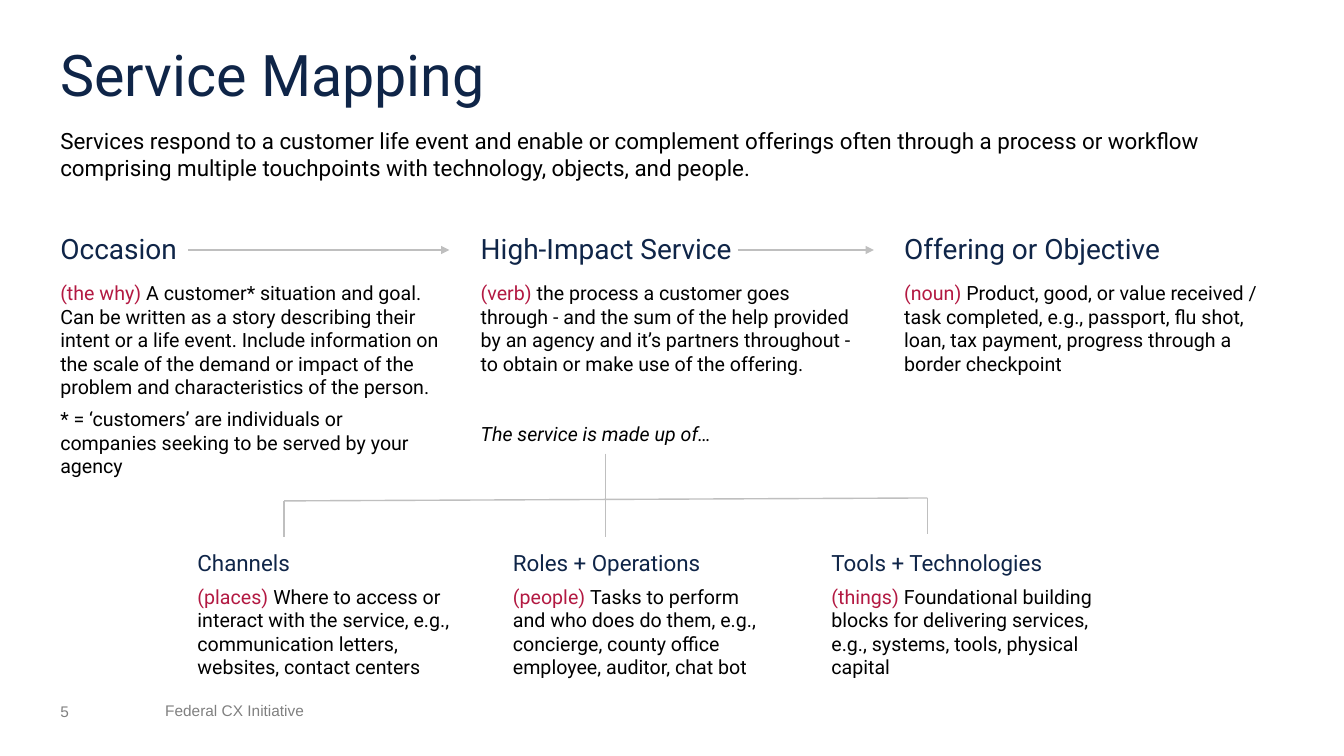
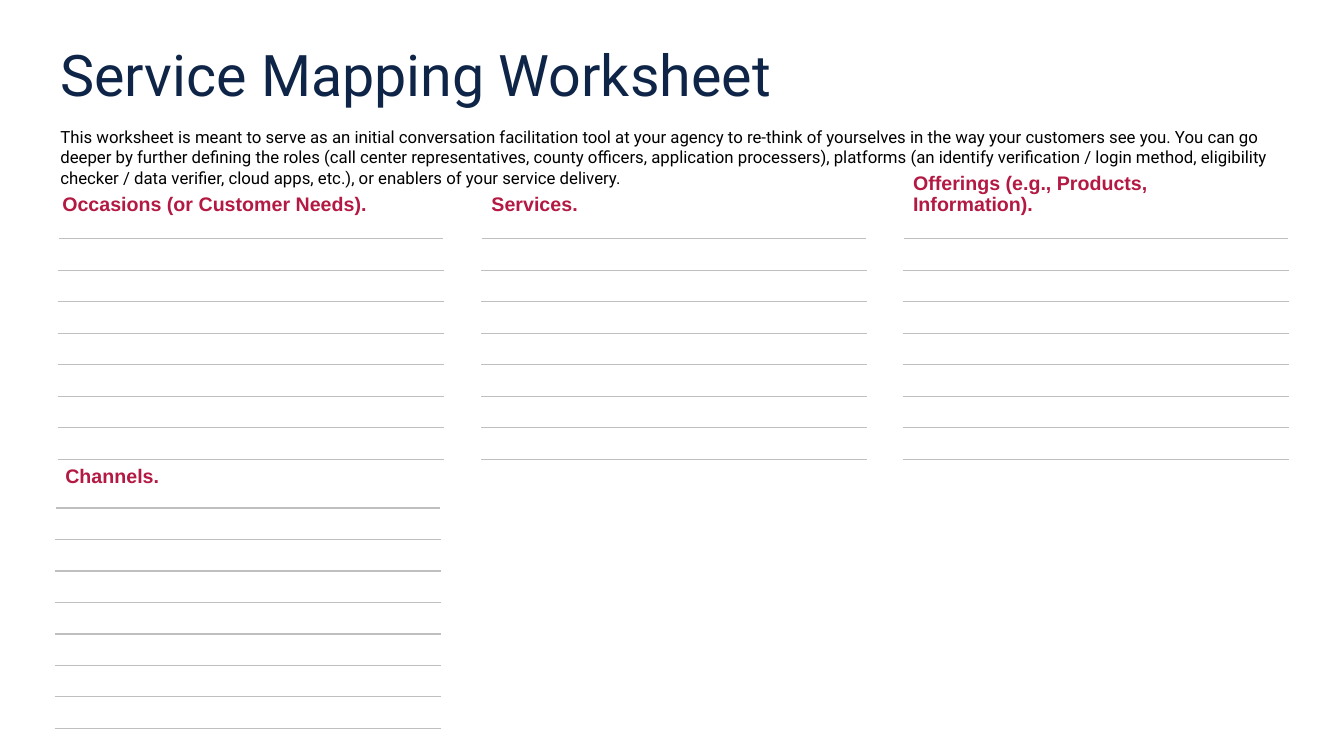
import pptx
import pptx.dml.color
import pptx.enum.shapes
import pptx.enum.text
import pptx.oxml
import pptx.oxml.ns
import pptx.util
from lxml import etree

Pt = pptx.util.Pt
RGB = pptx.dml.color.RGBColor
ANCHOR = pptx.enum.text.MSO_ANCHOR
qn = pptx.oxml.ns.qn

NAVY = RGB(0x0F, 0x25, 0x48)
RED = RGB(0xB3, 0x19, 0x42)
BLACK = RGB(0, 0, 0)
GRAY = RGB(0x80, 0x80, 0x80)
RULE = RGB(0xBF, 0xBF, 0xBF)
WHITE = RGB(0xFF, 0xFF, 0xFF)

LEFT = 36
WIDE = 888
ROWS = 7
ROW = 22.5

STAGES = [
    (36, "Occasion", "(the why) ",
     "A customer* situation and goal. Can be written as a story describing "
     "their intent or a life event. Include information on the scale of the "
     "demand or impact of the problem and characteristics of the person.",
     "* = ‘customers’ are individuals or companies seeking to be served by "
     "your agency", 6, False),
    (336.3, "High-Impact Service", "(verb) ",
     "the process a customer goes through - and the sum of the help provided "
     "by an agency and it’s partners throughout - to obtain or make use of "
     "the offering.",
     "The service is made up of…", 33.6, True),
    (638.8, "Offering or Objective", "(noun) ",
     "Product, good, or value received / task completed, e.g., passport, flu "
     "shot, loan, tax payment, progress through a border checkpoint",
     None, 0, False),
]

PARTS = [
    (134, "Channels", "(places) ",
     "Where to access or interact with the service, e.g., communication "
     "letters, websites, contact centers"),
    (359.3, "Roles + Operations", "(people) ",
     "Tasks to perform \vand who does do them, e.g., concierge, county office "
     "employee, auditor, chat bot"),
    (586.8, "Tools + Technologies", "(things) ",
     "Foundational building blocks for delivering services, e.g., systems, "
     "tools, physical capital"),
]

ARROWS = [(134.6, 178.6, 321, 178.6), (527, 178.6, 624.2, 178.6)]
TREE = [
    (432.7, 324, 432.7, 383.8),
    (662.4, 355.7, 203, 357.8),
    (203, 357.8, 203, 383.8),
    (662.4, 355.7, 662.4, 381.6),
]

# heading left, heading top, heading width, heading, table left, table top
SHEETS = [
    (37.4, 131.8, 279.4, "Occasions (or Customer Needs).", 41.8, 170.6),
    (344, 131.8, 177.8, "Services.", 344, 170.6),
    (645.1, 131.8, 253.4, "Offerings (e.g., Products, Information).",
     645.1, 170.6),
    (39.6, 326.2, 161.3, "Channels.", 39.6, 362.9),
]

INTRO = (
    "Services respond to a customer life event and enable or complement "
    "offerings often through a process or workflow comprising multiple "
    "touchpoints with technology, objects, and people.")
GUIDE = (
    "This worksheet is meant to serve as an initial conversation facilitation "
    "tool at your agency to re-think of yourselves in the way your customers "
    "see you. You can go deeper by further defining the roles (call center "
    "representatives, county officers, application processers), platforms (an "
    "identify verification / login method, eligibility checker / data "
    "verifier, cloud apps, etc.), or enablers of your service delivery.")


def style(para, size, color, font="Roboto", bold=False, italic=False):
    """Format every run of a paragraph."""
    for run in para.runs:
        run.font.name = font
        run.font.size = Pt(size)
        run.font.color.rgb = color
        run.font.bold = bold
        run.font.italic = italic


def add_box(slide, left, top, width, height, anchor=ANCHOR.TOP):
    """Add an empty wrapping text box and return its text frame."""
    frame = slide.shapes.add_textbox(
        Pt(left), Pt(top), Pt(width), Pt(height)).text_frame
    frame.word_wrap = True
    frame.vertical_anchor = anchor
    return frame


def add_text(slide, text, spot, size, color, font="Roboto", bold=False,
             anchor=ANCHOR.TOP, space=1):
    """Add a text box holding one paragraph."""
    frame = add_box(slide, *spot, anchor=anchor)
    frame.text = text
    para = frame.paragraphs[0]
    para.line_spacing = space
    style(para, size, color, font, bold)


def write_note(para, tag, text):
    """Write a red tag followed by black text."""
    para.text = tag + text
    style(para, 14, BLACK)
    first = para.runs[0]
    rest = first.text[len(tag):]
    first.text = tag
    first.font.color.rgb = RED
    tail = para.add_run()
    tail.text = rest
    first._r.addnext(tail._r)
    tail.font.name = "Roboto"
    tail.font.size = Pt(14)
    tail.font.color.rgb = BLACK


def add_head(slide, title, text, size):
    """Add the slide title and the paragraph under it."""
    add_text(slide, title, (LEFT, 0, WIDE, 111), 41, NAVY,
             anchor=ANCHOR.MIDDLE, space=0.9)
    add_text(slide, text, (LEFT, 87.1, WIDE, 48), size, BLACK)


def add_foot(slide, number):
    """Add the page number and the footer."""
    add_text(slide, number, (LEFT, 498.2, 60, 29), 11, GRAY, "Arial")
    add_text(slide, "Federal CX Initiative", (110.9, 499, 435, 17), 11, GRAY,
             "Arial", space=0.9)


def add_stage(slide, left, name, tag, text, extra, gap, italic):
    """Add a stage heading with its note and a closing remark."""
    add_text(slide, name, (left, 162, 243, 32), 20, NAVY)
    frame = add_box(slide, left, 197.3, 285, 126)
    write_note(frame.paragraphs[0], tag, text)
    if extra:
        para = frame.add_paragraph()
        para.text = extra
        para.space_before = Pt(gap)
        style(para, 14, BLACK, italic=italic)


def add_part(slide, left, name, tag, text):
    """Add one component of the service."""
    frame = add_box(slide, left, 388.8, 210, 103)
    frame.text = name
    para = frame.paragraphs[0]
    para.space_after = Pt(6)
    style(para, 16, NAVY)
    write_note(frame.add_paragraph(), tag, text)


def add_line(slide, ends, arrow=False):
    """Add a thin gray line, with an arrowhead if asked."""
    line = slide.shapes.add_connector(
        pptx.enum.shapes.MSO_CONNECTOR.STRAIGHT, *map(Pt, ends))
    line.line.color.rgb = RULE
    line.line.width = Pt(1)
    props = line._element.spPr
    if arrow:
        etree.SubElement(props.find(qn("a:ln")), qn("a:tailEnd"),
                         type="triangle")
    etree.SubElement(props, qn("a:effectLst"))


def edge_cell(cell):
    """Give a cell white sides and gray rules above and below."""
    props = cell._tc.get_or_add_tcPr()
    for side, color in zip("LRTB", (WHITE, WHITE, RULE, RULE)):
        edge = etree.SubElement(props, qn("a:ln" + side), w=str(Pt(1)))
        fill = etree.SubElement(edge, qn("a:solidFill"))
        etree.SubElement(fill, qn("a:srgbClr"), val=str(color))


def add_rules(slide, left, top):
    """Add a table of empty writing rows."""
    table = slide.shapes.add_table(
        ROWS, 1, Pt(left), Pt(top), Pt(275), Pt(ROWS * ROW)).table
    table.first_row = False
    table.horz_banding = False
    for row in table.rows:
        row.height = Pt(ROW)
        cell = row.cells[0]
        cell.margin_top = cell.margin_bottom = 0
        edge_cell(cell)
        cell.fill.background()


def build_map(slide):
    """Build the service mapping slide."""
    add_head(slide, "Service Mapping", INTRO, 16)
    for stage in STAGES:
        add_stage(slide, *stage)
    for ends in ARROWS:
        add_line(slide, ends, arrow=True)
    for part in PARTS:
        add_part(slide, *part)
    for ends in TREE:
        add_line(slide, ends)
    add_foot(slide, "5")


def build_sheet(slide):
    """Build the worksheet slide."""
    add_head(slide, "Service Mapping Worksheet", GUIDE, 12)
    for left, top, width, name, side, start in SHEETS:
        add_rules(slide, side, start)
        add_text(slide, name, (left, top, width, 26), 14, RED, "Arial", True,
                 ANCHOR.BOTTOM, 0.9)


def main():
    """Build and save the deck."""
    deck = pptx.Presentation()
    deck.slide_width = Pt(960)
    deck.slide_height = Pt(540)
    for build in (build_map, build_sheet):
        build(deck.slides.add_slide(deck.slide_layouts[6]))
    deck.save("out.pptx")


if __name__ == "__main__":
    main()
